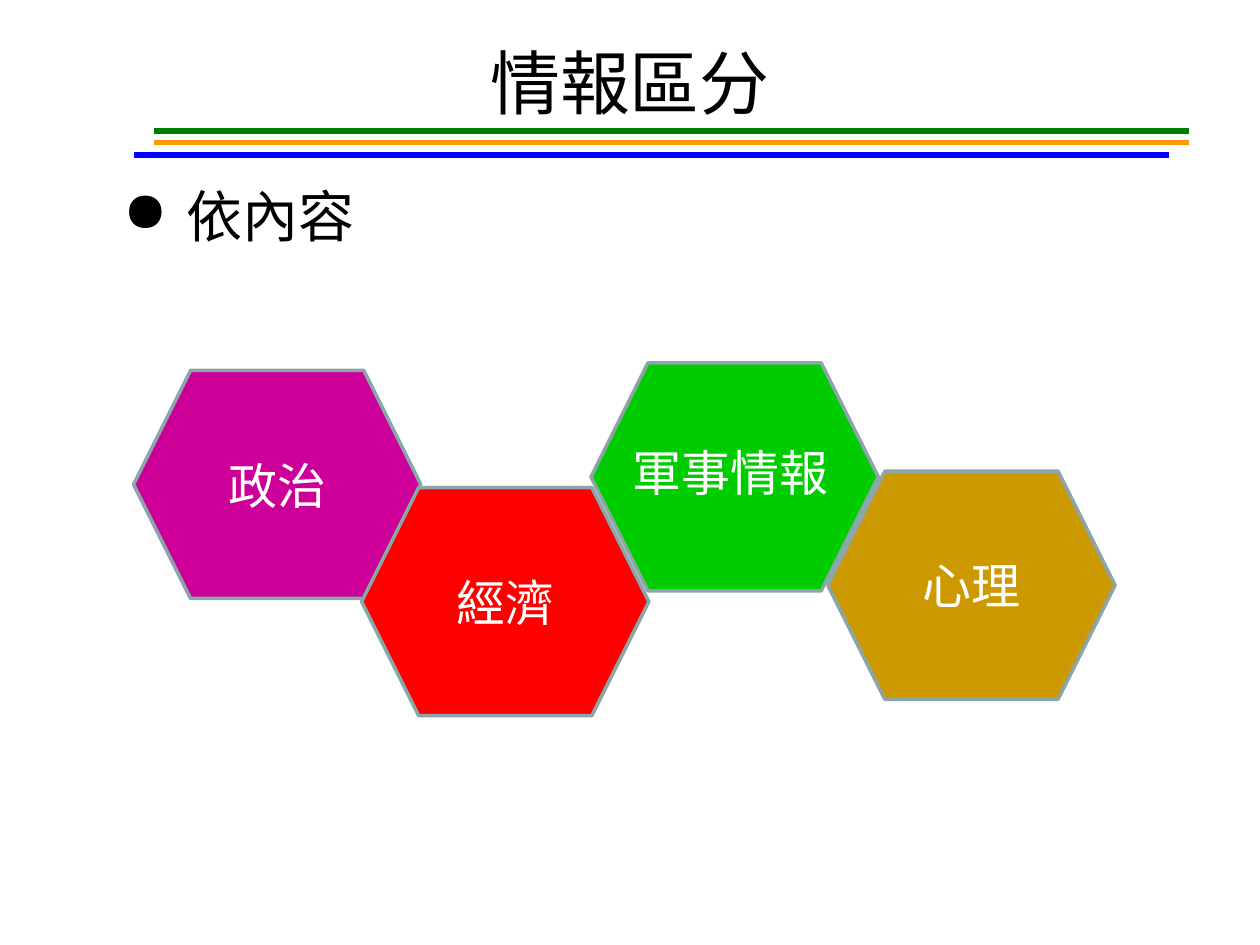
from dataclasses import dataclass

from lxml import etree
from pptx import Presentation
from pptx.dml.color import RGBColor
from pptx.enum import shapes, text
from pptx.oxml import ns
from pptx.util import Inches, Pt

BLACK = RGBColor(0x00, 0x00, 0x00)
WHITE = RGBColor(0xFF, 0xFF, 0xFF)
ORANGE = RGBColor(0xFF, 0x99, 0x00)
BLUE = RGBColor(0x00, 0x00, 0xFF)
DARK_GREEN = RGBColor(0x00, 0x80, 0x00)
MAGENTA = RGBColor(0xCC, 0x00, 0x99)
RED = RGBColor(0xFF, 0x00, 0x00)
OCHRE = RGBColor(0xCC, 0x99, 0x00)
GREEN = RGBColor(0x00, 0xCC, 0x00)
OUTLINE = RGBColor(0x8A, 0xA6, 0xA8)

HEXAGON_WIDTH, HEXAGON_HEIGHT = 2.28, 1.81
RULE_LENGTH = 8.22


@dataclass
class Rule:
    left: float
    top: float
    color: RGBColor


@dataclass
class Hexagon:
    left: float
    top: float
    fill: RGBColor
    label: str = ""


RULES = [
    Rule(1.22, 1.13, ORANGE),
    Rule(1.06, 1.23, BLUE),
    Rule(1.22, 1.04, DARK_GREEN),
]

HEXAGONS = [
    Hexagon(1.06, 2.94, MAGENTA, "政治"),
    Hexagon(2.87, 3.87, RED, "經濟"),
    Hexagon(6.57, 3.74, OCHRE, "心理"),
    Hexagon(4.69, 2.88, GREEN),
]


def write_text(shape, content: str, size: int, color: RGBColor, font: str = "Arial"):
    paragraph = shape.text_frame.paragraphs[0]
    paragraph.text = content
    paragraph.font.size = Pt(size)
    paragraph.font.name = font
    paragraph.font.color.rgb = color
    return paragraph


def add_text_box(slide, left: float, top: float, width: float, height: float):
    box = slide.shapes.add_textbox(
        Inches(left), Inches(top), Inches(width), Inches(height)
    )
    box.text_frame.word_wrap = True
    return box


def add_rule(slide, rule: Rule) -> None:
    connector = slide.shapes.add_connector(
        shapes.MSO_CONNECTOR.STRAIGHT,
        Inches(rule.left + RULE_LENGTH),
        Inches(rule.top),
        Inches(rule.left),
        Inches(rule.top),
    )
    connector.line.color.rgb = rule.color
    connector.line.width = Pt(3)
    etree.SubElement(connector._element.spPr, ns.qn("a:effectLst"))


def add_hexagon(slide, hexagon: Hexagon) -> None:
    shape = slide.shapes.add_shape(
        shapes.MSO_SHAPE.HEXAGON,
        Inches(hexagon.left),
        Inches(hexagon.top),
        Inches(HEXAGON_WIDTH),
        Inches(HEXAGON_HEIGHT),
    )
    shape.shadow.inherit = False
    shape.fill.solid()
    shape.fill.fore_color.rgb = hexagon.fill
    shape.line.color.rgb = OUTLINE
    shape.line.width = Pt(2)
    if hexagon.label:
        shape.text_frame.vertical_anchor = text.MSO_ANCHOR.MIDDLE
        paragraph = write_text(shape, hexagon.label, 28, WHITE)
        paragraph.alignment = text.PP_ALIGN.CENTER


def add_title(slide) -> None:
    title = add_text_box(slide, 0.5, 0.3, 9, 0.69)
    title.text_frame.vertical_anchor = text.MSO_ANCHOR.MIDDLE
    paragraph = write_text(title, "情報區分", 40, BLACK)
    paragraph.alignment = text.PP_ALIGN.CENTER


def add_body(slide) -> None:
    body = add_text_box(slide, 0.5, 1.39, 9, 3.31)
    properties = body.text_frame.paragraphs[0]._p.get_or_add_pPr()
    properties.set("marL", str(Inches(0.88)))
    properties.set("indent", str(Inches(-0.5)))
    etree.SubElement(properties, ns.qn("a:buChar"), char="●")
    write_text(body, "依內容", 32, BLACK, "Noto Sans CJK SC")


def main() -> None:
    presentation = Presentation()
    presentation.slide_width = Inches(10)
    presentation.slide_height = Inches(7.5)
    slide = presentation.slides.add_slide(presentation.slide_layouts[6])

    for rule in RULES:
        add_rule(slide, rule)
    add_title(slide)
    add_body(slide)
    for hexagon in HEXAGONS:
        add_hexagon(slide, hexagon)
    military_label = add_text_box(slide, 4.92, 3.46, 2.2, 0.57)
    write_text(military_label, "軍事情報", 28, WHITE)

    presentation.save("out.pptx")


if __name__ == "__main__":
    main()
